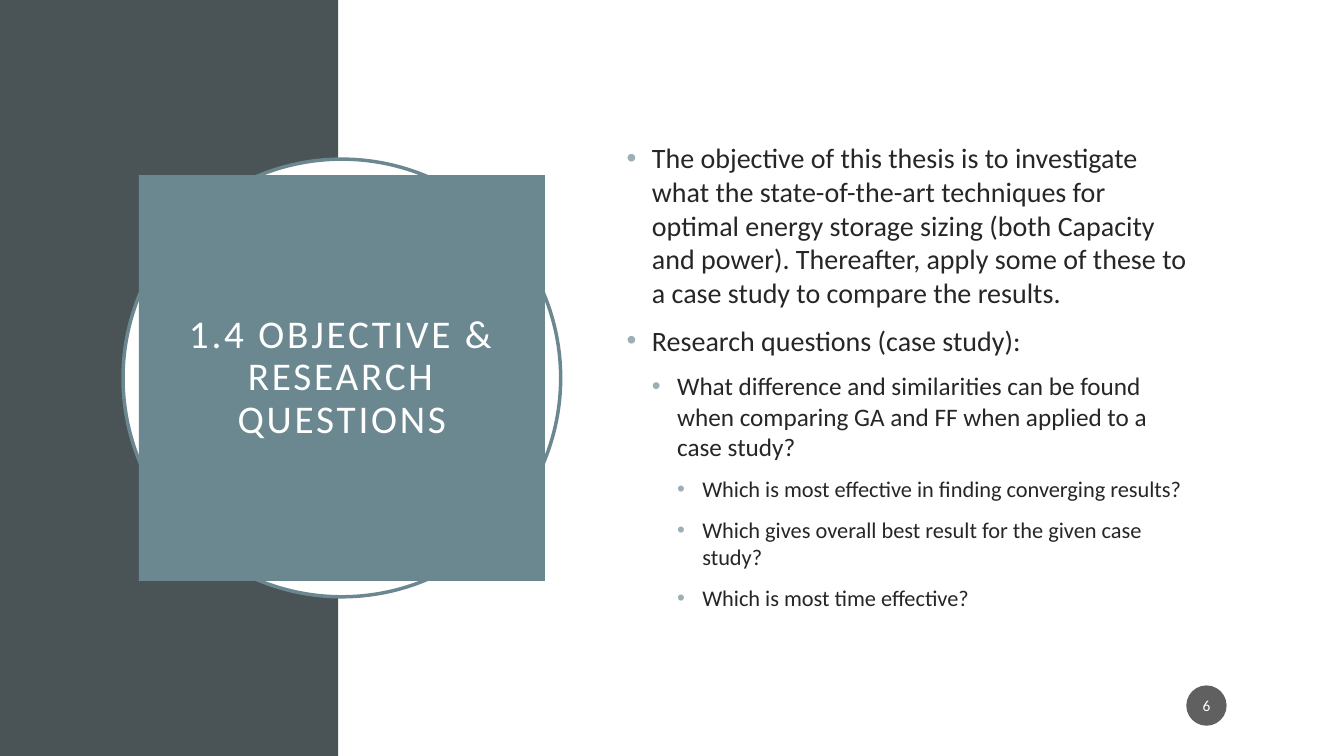
from lxml import etree
from pptx import Presentation
from pptx.dml.color import RGBColor
from pptx.enum.shapes import MSO_SHAPE
from pptx.enum.text import MSO_ANCHOR, PP_ALIGN
from pptx.oxml.ns import qn
from pptx.util import Pt

RECT, OVAL = MSO_SHAPE.RECTANGLE, MSO_SHAPE.OVAL
MIDDLE, CENTER = MSO_ANCHOR.MIDDLE, PP_ALIGN.CENTER
FONT = "Calibri"
COLORS = {
    "band": "4A5356", "white": "FFFFFF", "teal": "6B8891",
    "bullet": "9BAFB5", "text": "262626", "badge": "1D1D1D",
}
LEVEL_SIZES = (20, 18, 16)
INDENT = 18
BODY = [
    (0, "The objective of this thesis is to investigate what the state-of-the-art "
        "techniques for optimal energy storage sizing (both Capacity and power). "
        "Thereafter, apply some of these to a case study to compare the results."),
    (0, "Research questions (case study):"),
    (1, "What difference and similarities can be found when comparing GA and FF "
        "when applied to a case study?"),
    (2, "Which is most effective in finding converging results?"),
    (2, "Which gives overall best result for the given case study?"),
    (2, "Which is most time effective?"),
]


def rgb(name):
    return RGBColor.from_string(COLORS[name])


def add_shape(slide, kind, box, fill, line=None):
    sp = slide.shapes.add_shape(kind, *[Pt(v) for v in box])
    sp.shadow.inherit = False
    sp.fill.solid()
    sp.fill.fore_color.rgb = rgb(fill)
    if line:
        sp.line.color.rgb = rgb(line)
        sp.line.width = Pt(2.5)
    else:
        sp.line.fill.background()
    return sp


def set_frame(sp, inset_x, inset_y):
    tf = sp.text_frame
    tf.word_wrap = True
    tf.vertical_anchor = MIDDLE
    tf.margin_left = tf.margin_right = Pt(inset_x)
    tf.margin_top = tf.margin_bottom = Pt(inset_y)
    return tf


def add_run(p, text, size, color):
    r = p.add_run()
    r.text = text
    r.font.name = FONT
    r.font.size = Pt(size)
    r.font.color.rgb = rgb(color)
    return r


def add_bullet(p, level):
    pPr = p._p.get_or_add_pPr()
    pPr.set("marL", str(Pt(INDENT * (level + 1))))
    pPr.set("indent", str(-Pt(INDENT)))
    color = etree.SubElement(pPr, qn("a:buClr"))
    etree.SubElement(color, qn("a:srgbClr"), val=COLORS["bullet"])
    etree.SubElement(pPr, qn("a:buFont"), typeface="Arial")
    etree.SubElement(pPr, qn("a:buChar"), char="•")


def title_panel(slide, box, text):
    x, y, side = box
    # Ring behind the square
    gap = 11.3
    ring = side + 2 * gap
    add_shape(slide, OVAL, (x - gap, y - gap, ring, ring), "white", "teal")
    # Title square
    sp = add_shape(slide, RECT, (x, y, side, side), "teal")
    p = set_frame(sp, 14.4, 14.4).paragraphs[0]
    p.alignment = CENTER
    p.line_spacing = 0.9
    r = add_run(p, text, 28, "white")
    r.font._element.set("spc", "200")


def body_text(slide, box, items):
    tf = set_frame(slide.shapes.add_textbox(*[Pt(v) for v in box]), 7.2, 3.6)
    for i, (level, text) in enumerate(items):
        p = tf.paragraphs[0] if i == 0 else tf.add_paragraph()
        p.level = level
        if i:
            p.space_before = Pt(10)
        add_bullet(p, level)
        add_run(p, text, LEVEL_SIZES[level], "text")


def page_badge(slide, box, number):
    sp = add_shape(slide, OVAL, box, "badge")
    color = sp._element.spPr.find(qn("a:solidFill"))[0]
    etree.SubElement(color, qn("a:alpha"), val="70000")
    p = set_frame(sp, 1.44, 3.6).paragraphs[0]
    p.alignment = CENTER
    add_run(p, number, 11, "white")


def main():
    prs = Presentation()
    prs.slide_width, prs.slide_height = Pt(960), Pt(540)
    slide = prs.slides.add_slide(prs.slide_layouts[6])
    # Dark band on the left
    add_shape(slide, RECT, (0, 0, 241.6, 540), "band")
    title_panel(slide, (99.2, 125, 290), "1.4 OBJECTIVE & RESEARCH QUESTIONS")
    body_text(slide, (440.6, 12.2, 419, 512.6), BODY)
    page_badge(slide, (847.4, 489.6, 28.8, 28.8), "6")
    prs.save("out.pptx")


if __name__ == "__main__":
    main()
